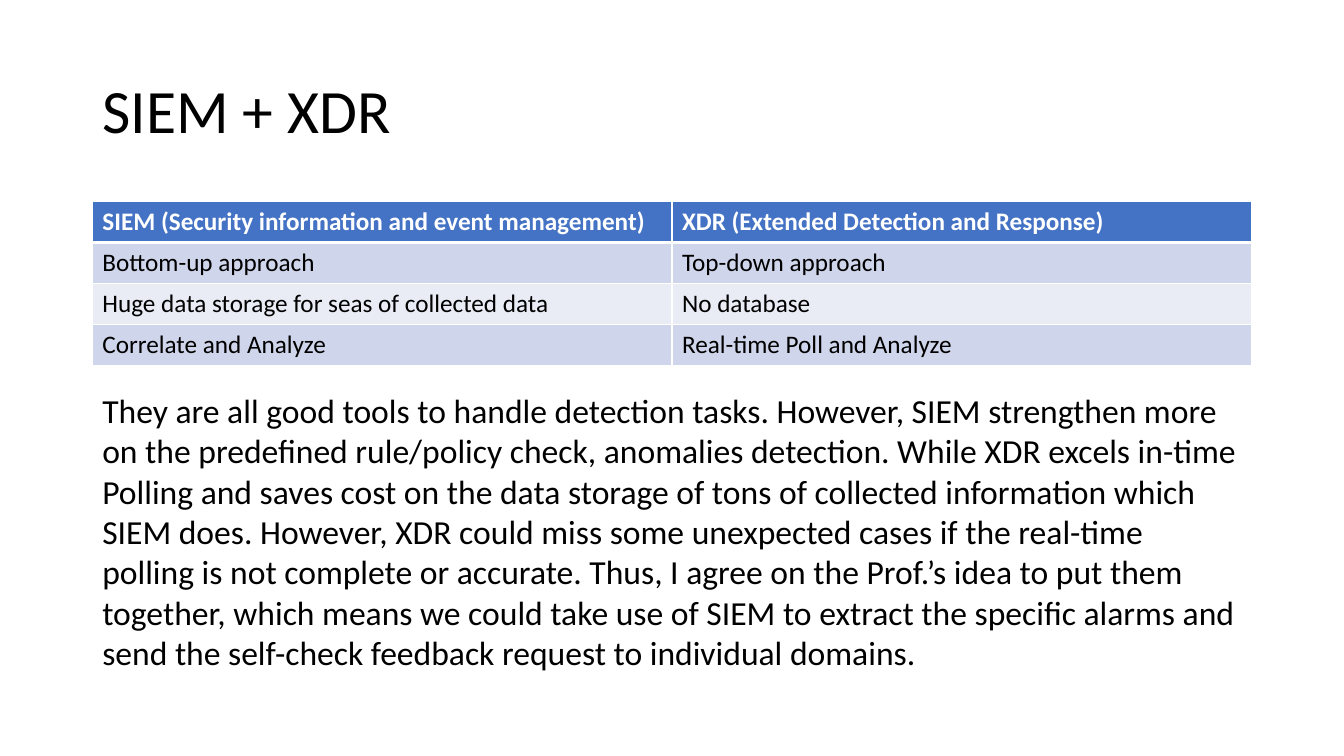
from dataclasses import dataclass

from lxml.etree import SubElement
from pptx import Presentation
from pptx.dml.color import RGBColor
from pptx.enum.text import MSO_ANCHOR
from pptx.oxml.ns import qn
from pptx.util import Pt


@dataclass(frozen=True)
class Theme:
    """Colours, font and type sizes of the deck."""
    font: str = "Calibri"
    ink: str = "000000"
    paper: str = "FFFFFF"
    header: str = "4472C4"
    bands: tuple = ("CFD5EA", "E9EBF5")
    title_size: float = 44
    body_size: float = 24
    table_size: float = 18
    rule: float = 1
    header_rule: float = 3


@dataclass(frozen=True)
class Box:
    """A region of the page, in points."""
    left: float
    top: float
    width: float
    height: float

    def lengths(self):
        """Return the four measures as lengths."""
        return Pt(self.left), Pt(self.top), Pt(self.width), Pt(self.height)


THEME = Theme()
LEFT, WIDTH = 66, 828
TITLE_BOX = Box(LEFT, 28.75, WIDTH, 104.4)
TABLE_BOX = Box(LEFT, 144, WIDTH, 116.8)
BODY_BOX = Box(LEFT, 275, WIDTH, 211)

TITLE = "SIEM + XDR"
COMPARISON = [
    ("SIEM (Security information and event management)", "XDR (Extended Detection and Response)"),
    ("Bottom-up approach", "Top-down approach"),
    ("Huge data storage for seas of collected data", "No database"),
    ("Correlate and Analyze", "Real-time Poll and Analyze"),
]
BODY = (
    "They are all good tools to handle detection tasks. However, SIEM strengthen more on the "
    "predefined rule/policy check, anomalies detection. While XDR excels in-time Polling and "
    "saves cost on the data storage of tons of collected information which SIEM does. However, "
    "XDR could miss some unexpected cases if the real-time polling is not complete or accurate. "
    "Thus, I agree on the Prof.’s idea to put them together, which means we could take use of "
    "SIEM to extract the specific alarms and send the self-check feedback request to individual "
    "domains."
)


def write(frame, text, size, color, bold=False):
    """Put one styled paragraph in a text frame and return it."""
    para = frame.paragraphs[0]
    para.text = text
    para.font.name = THEME.font
    para.font.size = Pt(size)
    para.font.bold = bold
    para.font.color.rgb = RGBColor.from_string(color)
    return para


def add_text(page, box, text, size, anchor=MSO_ANCHOR.TOP):
    """Add a wrapping text box and return its paragraph."""
    frame = page.shapes.add_textbox(*box.lengths()).text_frame
    frame.word_wrap = True
    frame.vertical_anchor = anchor
    return write(frame, text, size, THEME.ink)


def add_title(page, box):
    """Add the slide title, centred vertically in its box."""
    para = add_text(page, box, TITLE, THEME.title_size, MSO_ANCHOR.MIDDLE)
    para.line_spacing = 0.9


def set_borders(cell, top, bottom):
    """Draw the rules around a table cell."""
    properties = cell._tc.get_or_add_tcPr()
    for side, weight in (("L", THEME.rule), ("R", THEME.rule), ("T", top), ("B", bottom)):
        line = SubElement(properties, qn(f"a:ln{side}"), w=str(Pt(weight)))
        fill = SubElement(line, qn("a:solidFill"))
        SubElement(fill, qn("a:srgbClr"), val=THEME.paper)


def add_comparison(page, box):
    """Add the table that compares the two tools."""
    row_count, column_count = len(COMPARISON), len(COMPARISON[0])
    table = page.shapes.add_table(row_count, column_count, *box.lengths()).table
    for column in table.columns:
        column.width = Pt(box.width / column_count)
    for index, texts in enumerate(COMPARISON):
        table.rows[index].height = Pt(box.height / row_count)
        is_header = index == 0
        shade = THEME.header if is_header else THEME.bands[(index - 1) % 2]
        ink = THEME.paper if is_header else THEME.ink
        top = THEME.header_rule if index == 1 else THEME.rule
        bottom = THEME.header_rule if is_header else THEME.rule
        for cell, text in zip(table.rows[index].cells, texts):
            set_borders(cell, top, bottom)
            cell.fill.solid()
            cell.fill.fore_color.rgb = RGBColor.from_string(shade)
            write(cell.text_frame, text, THEME.table_size, ink, bold=is_header)


def main():
    """Build the deck and save it."""
    deck = Presentation()
    deck.slide_width, deck.slide_height = Pt(960), Pt(540)
    page = deck.slides.add_slide(deck.slide_layouts[6])
    page.background.fill.solid()
    page.background.fill.fore_color.rgb = RGBColor.from_string(THEME.paper)
    add_title(page, TITLE_BOX)
    add_comparison(page, TABLE_BOX)
    add_text(page, BODY_BOX, BODY, THEME.body_size)
    deck.save("out.pptx")


if __name__ == "__main__":
    main()
